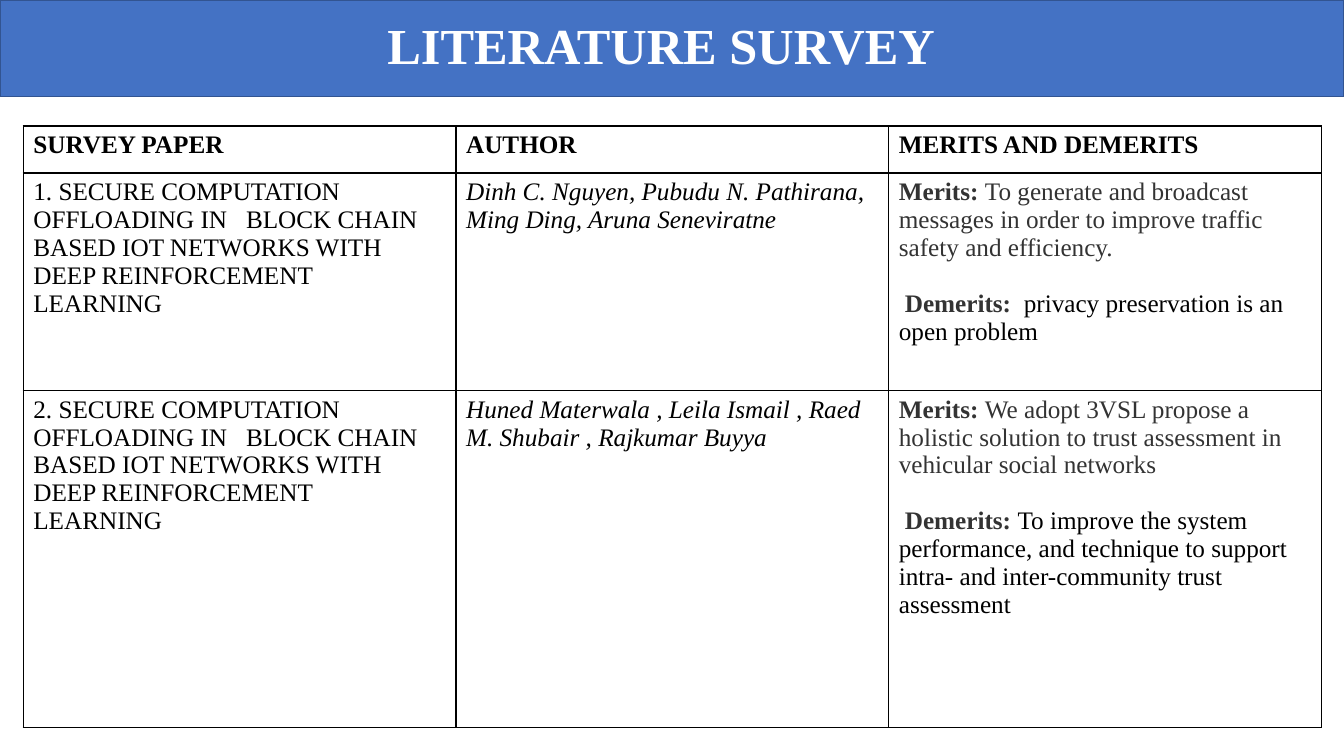
from lxml import etree
from pptx import Presentation
from pptx import util as u
from pptx.dml.color import RGBColor
from pptx.enum import shapes, text
from pptx.oxml import ns

HUES = {"band": "4472C4", "edge": "325491", "white": "FFFFFF",
        "ink": "000000", "gray": "333333"}
TOPIC = ("SECURE COMPUTATION OFFLOADING IN   BLOCK CHAIN BASED IOT "
         "NETWORKS WITH DEEP REINFORCEMENT LEARNING")
HEADS = ["SURVEY PAPER", "AUTHOR", "MERITS AND DEMERITS"]
PAPERS = [
    ("Dinh C. Nguyen, Pubudu N. Pathirana, Ming Ding, Aruna Seneviratne",
     "To generate and broadcast messages in order to improve traffic "
     "safety and efficiency.",
     " privacy preservation is an open problem"),
    ("Huned Materwala , Leila Ismail , Raed M. Shubair , Rajkumar Buyya",
     "We adopt 3VSL propose a holistic solution to trust assessment in "
     "vehicular social networks",
     "To improve the system performance, and technique to support intra- "
     "and inter-community trust assessment"),
]


def write(para, words, size=18, hue="ink", bold=False, italic=False):
    run = para.add_run()
    run.text = words
    font = run.font
    font.name, font.size = "Times New Roman", u.Pt(size)
    font.bold, font.italic = bold, italic
    font.color.rgb = RGBColor.from_string(HUES[hue])


def frame(cell):
    """Draw a thin black border on all four sides of a cell."""
    props = cell._tc.get_or_add_tcPr()
    for spot, side in enumerate(("lnL", "lnR", "lnT", "lnB")):
        line = etree.Element(ns.qn("a:" + side), w=str(u.Pt(1)))
        fill = etree.SubElement(line, ns.qn("a:solidFill"))
        etree.SubElement(fill, ns.qn("a:srgbClr"), val=HUES["ink"])
        props.insert(spot, line)


class Deck:
    """Holds the current slide; places are shares of its width and height."""

    def __init__(self):
        self.show = Presentation()
        self.show.slide_width = u.Inches(13.33)
        self.show.slide_height = u.Inches(7.5)
        self.slide = self.show.slides.add_slide(self.show.slide_layouts[5])

    def place(self, left, top, width, height):
        wide, high = self.show.slide_width, self.show.slide_height
        return [round(part * side) for part, side in
                zip((left, top, width, height), (wide, high) * 2)]

    def band(self, *box):
        bar = self.slide.shapes.add_shape(
            shapes.MSO_SHAPE.RECTANGLE, *self.place(*box))
        bar.shadow.inherit = False
        bar.fill.solid()
        bar.fill.fore_color.rgb = RGBColor.from_string(HUES["band"])
        bar.line.color.rgb = RGBColor.from_string(HUES["edge"])
        bar.line.width = u.Pt(1)

    def title(self, words, *box):
        head = self.slide.shapes.title
        head.left, head.top, head.width, head.height = self.place(*box)
        body = head.text_frame
        body.word_wrap = True
        body.auto_size = text.MSO_AUTO_SIZE.NONE
        body.vertical_anchor = text.MSO_ANCHOR.MIDDLE
        para = body.paragraphs[0]
        para.alignment = text.PP_ALIGN.CENTER
        para.line_spacing = 0.9
        write(para, words, size=36, hue="white", bold=True)
        self.slide.shapes._spTree.append(head._element)  # in front of the band

    def table(self, rows, cols, *box):
        """Add a plain bordered table; rows are heights as shares."""
        shape = self.slide.shapes.add_table(
            len(rows), cols, *self.place(*box, sum(rows)))
        grid = shape.table
        grid.first_row = grid.horz_banding = False
        for row, share in zip(grid.rows, rows):
            row.height = round(share * self.show.slide_height)
        for cell in grid.iter_cells():
            cell.fill.solid()
            cell.fill.fore_color.rgb = RGBColor.from_string(HUES["white"])
            frame(cell)
        return grid


def review(body, merit, flaw):
    """Write the merits, then the demerits one line further down."""
    first = body.paragraphs[0]
    write(first, "Merits: ", hue="gray", bold=True)
    write(first, merit, hue="gray")
    last = body.add_paragraph()
    last.space_before = u.Pt(20)
    last._p.get_or_add_pPr().set("indent", str(u.Inches(0.06)))
    write(last, "Demerits: ", hue="gray", bold=True)
    write(last, flaw)


def main():
    deck = Deck()
    deck.band(0, 0, 1, 0.128)
    deck.title("LITERATURE SURVEY", 0.016, 0, 0.952, 0.128)
    grid = deck.table([0.062, 0.288, 0.446], 3, 0.0173, 0.1667, 0.966)
    for col, head in enumerate(HEADS):
        write(grid.cell(0, col).text_frame.paragraphs[0], head, bold=True)
    for row, (names, merit, flaw) in enumerate(PAPERS, 1):
        paper, author, notes = (grid.cell(row, c).text_frame for c in range(3))
        write(paper.paragraphs[0], f"{row}. {TOPIC}")
        write(author.paragraphs[0], names, italic=True)
        review(notes, merit, flaw)
    deck.show.save("out.pptx")


if __name__ == "__main__":
    main()
